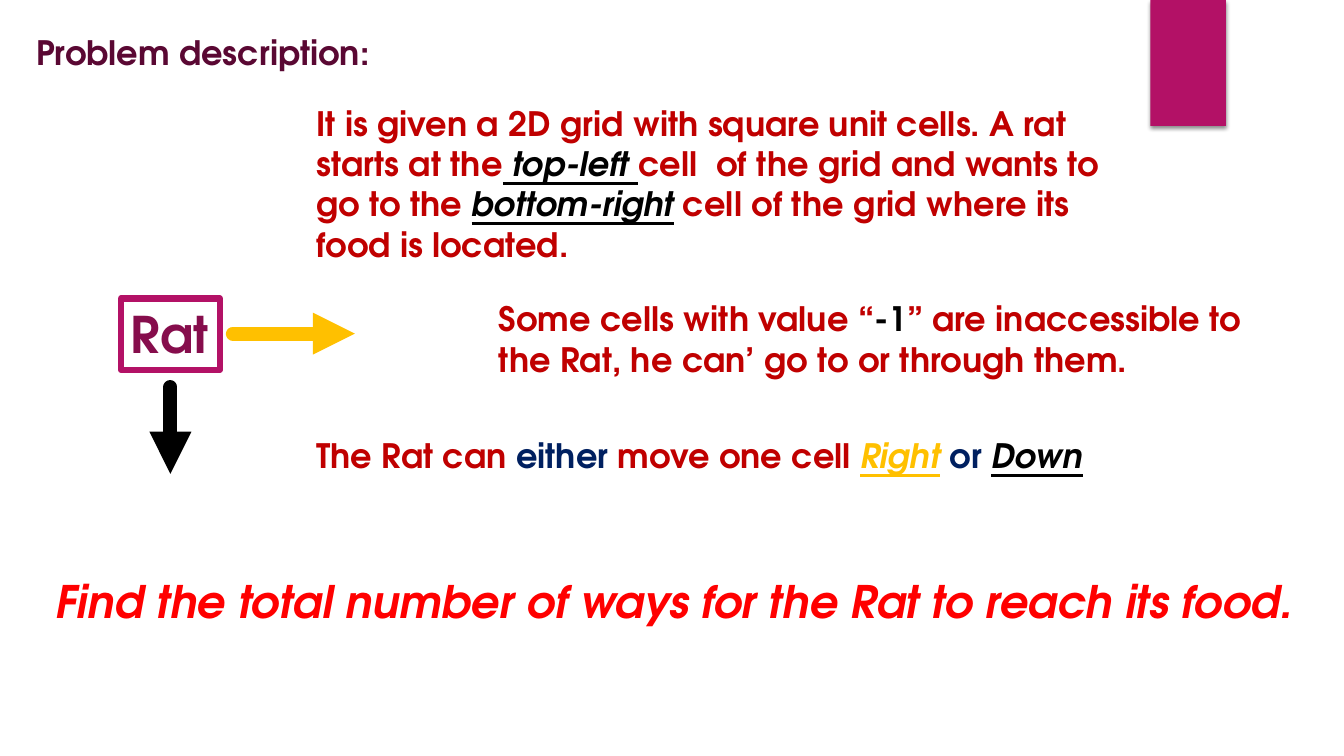
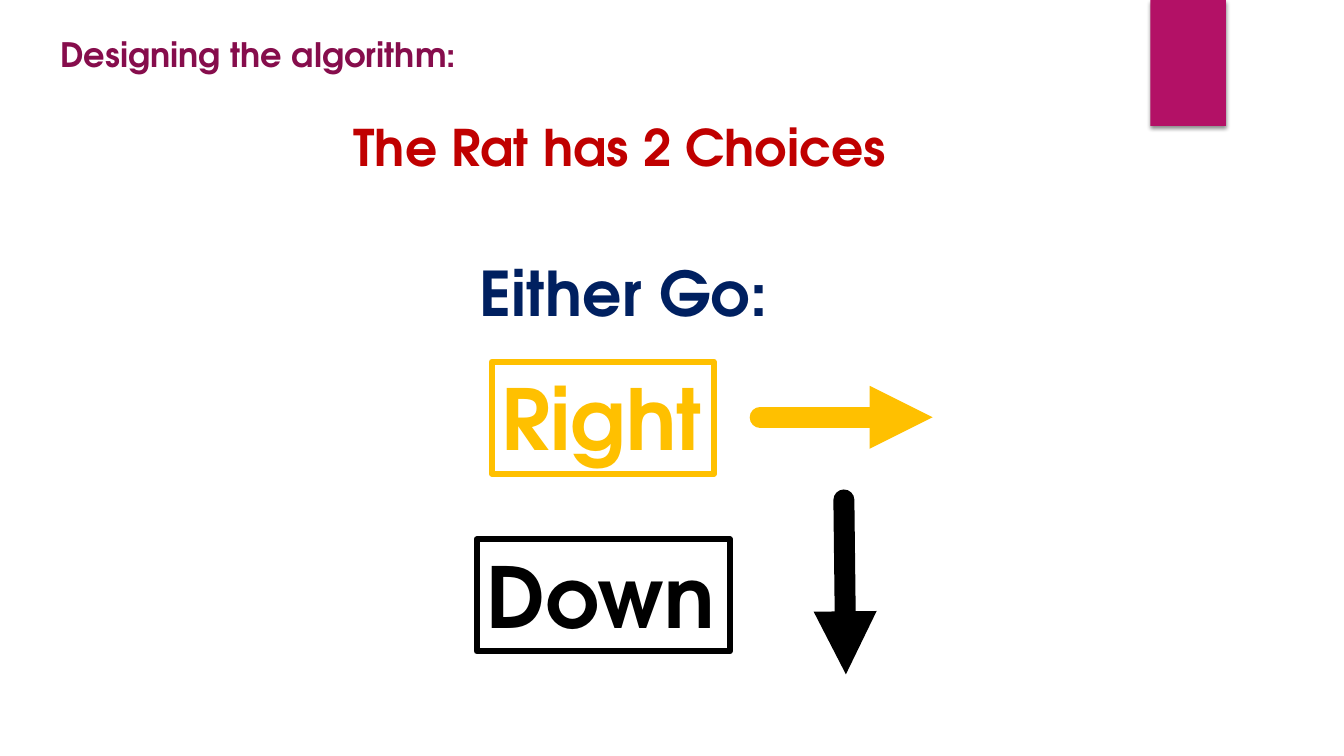
from lxml import etree
from pptx import Presentation
from pptx.dml.color import RGBColor
from pptx.enum.shapes import MSO_CONNECTOR, MSO_SHAPE
from pptx.enum.text import MSO_ANCHOR, MSO_AUTO_SIZE, PP_ALIGN
from pptx.oxml import parse_xml
from pptx.oxml.ns import nsdecls, qn
from pptx.util import Emu, Pt

RECT = MSO_SHAPE.RECTANGLE
STRAIGHT = MSO_CONNECTOR.STRAIGHT
TOP = MSO_ANCHOR.TOP
LEFT = PP_ALIGN.LEFT
GROW = MSO_AUTO_SIZE.SHAPE_TO_FIT_TEXT

EMU_PER_PX = 9144  # 100 px to the inch
FONT = "TeX Gyre Adventor"
MAGENTA, PLUM, DARK_PLUM = "B31166", "860D4C", "5A0833"
CRIMSON, RED, NAVY = "C00000", "FF0000", "002060"
GOLD, BLACK = "FFC000", "000000"
STRESS = {"italic": True, "underline": True}

BAND_SHADOW = f"""<a:effectLst {nsdecls("a")}>
  <a:outerShdw blurRad="38100" dist="25400" dir="5400000" rotWithShape="0">
    <a:srgbClr val="{BLACK}"><a:alpha val="45000"/></a:srgbClr>
  </a:outerShdw>
</a:effectLst>"""


def px(*lengths):
    return [Emu(n * EMU_PER_PX) for n in lengths]


def rgb(value):
    return RGBColor.from_string(value)


def set_all(target, values):
    for name, value in values.items():
        setattr(target, name, value)


class Deck:
    """Holds the presentation, its style and the current slide."""

    def __init__(self):
        self.prs = Presentation()
        self.prs.slide_width, self.prs.slide_height = px(1333, 750)
        self.s = None

    def slide(self, title, x, y, w, color):
        self.s = self.prs.slides.add_slide(self.prs.slide_layouts[6])
        self.band()
        self.text(x, y, w, 50, [(title, color)])

    def band(self):
        sp = self.s.shapes.add_shape(RECT, *px(1141, 0, 75, 125))
        sp.fill.solid()
        sp.fill.fore_color.rgb = rgb(MAGENTA)
        sp.line.fill.background()
        sp._element.spPr.append(parse_xml(BAND_SHADOW))

    def text(self, x, y, w, h, runs, size=24, wrap=False):
        sp = self.s.shapes.add_textbox(*px(x, y, w, h))
        self.add_runs(sp, runs, size, wrap)

    def box(self, x, y, w, h, label, size, color, line_color):
        sp = self.s.shapes.add_shape(RECT, *px(x, y, w, h))
        sp.shadow.inherit = False
        sp.fill.background()
        self.stroke(sp, line_color, 4.5)
        self.add_runs(sp, [(label, color)], size)

    def arrow(self, x1, y1, x2, y2, color, width):
        cx = self.s.shapes.add_connector(STRAIGHT, *px(x1, y1, x2, y2))
        ln = self.stroke(cx, color, width)
        ln.set("cap", "rnd")
        etree.SubElement(ln, qn("a:tailEnd"), type="triangle")
        etree.SubElement(cx._element.spPr, qn("a:effectLst"))

    def stroke(self, shape, color, width):
        """Give the shape a line with round joins and return its XML."""
        shape.line.color.rgb = rgb(color)
        shape.line.width = Pt(width)
        ln = shape._element.spPr.find(qn("a:ln"))
        etree.SubElement(ln, qn("a:round"))
        return ln

    def add_runs(self, shape, runs, size, wrap=False):
        """Fill one paragraph with (text, colour[, format]) runs."""
        tf = shape.text_frame
        set_all(tf, {"word_wrap": wrap, "auto_size": GROW,
                     "vertical_anchor": TOP})
        p = tf.paragraphs[0]
        p.alignment = LEFT
        for text, color, *extra in runs:
            r = p.add_run()
            r.text = text
            r.font.color.rgb = rgb(color)
            values = {"name": FONT, "size": Pt(size), "bold": True}
            for more in extra:
                values.update(more)
            set_all(r.font, values)


def problem_slide(deck):
    deck.slide("Problem description:", 26, 27, 355, DARK_PLUM)
    deck.text(304, 97, 818, 172, [
        ("It is given a 2D grid with square unit cells. A rat starts at the",
         CRIMSON),
        (" top-left ", BLACK, STRESS),
        ("cell  of the grid and wants to go to the ", CRIMSON),
        ("bottom-right", BLACK, STRESS),
        (" cell of the grid where its food is located.", CRIMSON),
    ], wrap=True)
    deck.text(485, 291, 812, 91, [
        ("Some cells with value “", CRIMSON),
        ("-1", BLACK),
        ("” are inaccessible to the Rat, he can’ go to or through them.",
         CRIMSON),
    ], wrap=True)
    deck.text(304, 427, 799, 50, [
        ("The Rat can ", CRIMSON),
        ("either", NAVY),
        (" move one cell ", CRIMSON),
        ("Right", GOLD, STRESS),
        (" ", CRIMSON),
        ("or ", NAVY),
        ("Down", BLACK, STRESS),
    ])
    deck.box(120, 296, 98, 71, "Rat", 36, PLUM, MAGENTA)
    deck.arrow(231, 331, 352, 331, GOLD, 10)
    deck.arrow(169, 384, 169, 470, BLACK, 10)
    deck.text(45, 564, 1269, 64, [
        ("Find the total number of ways for the Rat to reach its food.", RED,
         {"italic": True}),
    ], size=32)


def algorithm_slide(deck):
    deck.slide("Designing the algorithm:", 50, 29, 416, PLUM)
    deck.text(341, 110, 557, 71, [("The Rat has 2 Choices", CRIMSON)], size=36)
    deck.text(466, 248, 308, 84, [("Either Go:", NAVY)], size=44)
    deck.box(488, 359, 220, 111, "Right", 60, GOLD, GOLD)
    deck.box(473, 535, 251, 111, "Down", 60, BLACK, BLACK)
    deck.arrow(754, 414, 925, 414, GOLD, 15)
    deck.arrow(837, 496, 839, 669, BLACK, 15)


def main():
    deck = Deck()
    problem_slide(deck)
    algorithm_slide(deck)
    deck.prs.save("out.pptx")


if __name__ == "__main__":
    main()
